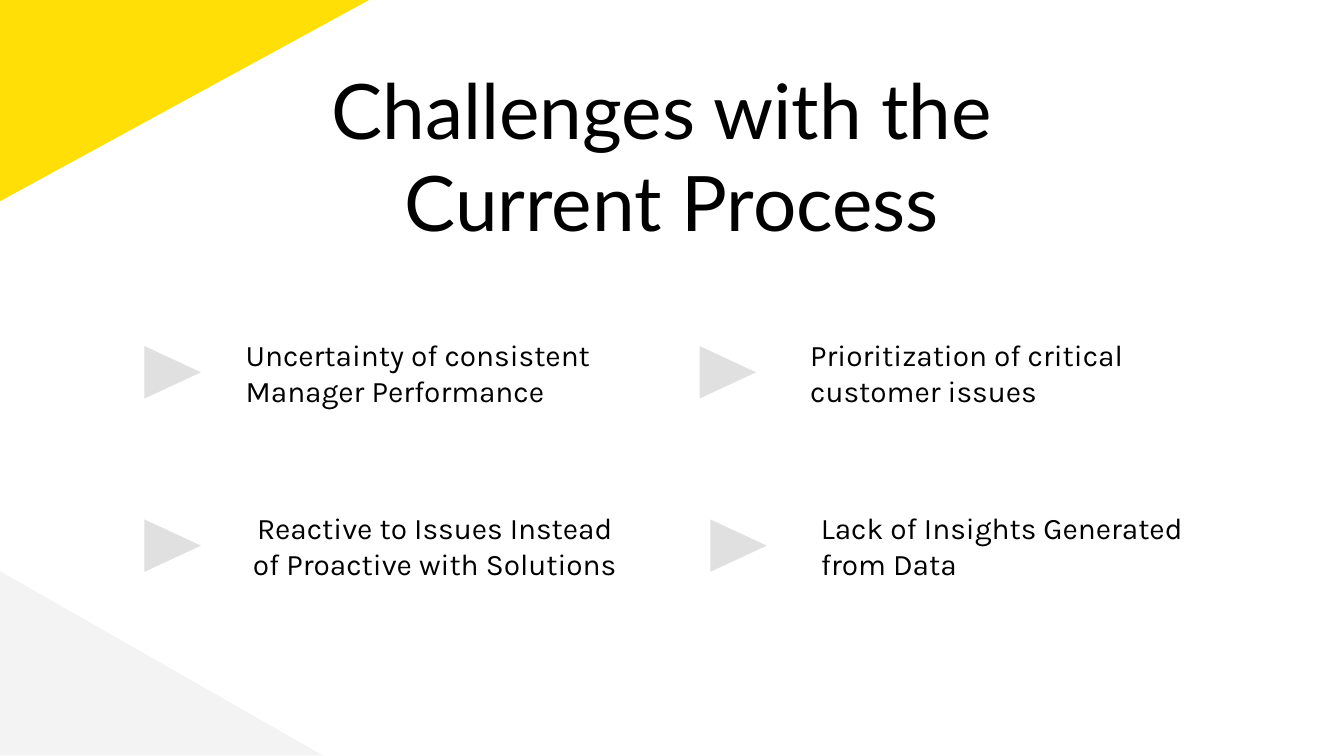
"""Build the slide listing four challenges with the current process."""
import pptx
import pptx.dml.color
import pptx.enum.shapes
import pptx.enum.text
import pptx.util

Inches = pptx.util.Inches
Pt = pptx.util.Pt
SHAPE = pptx.enum.shapes.MSO_SHAPE
ANCHOR = pptx.enum.text.MSO_ANCHOR
ALIGN = pptx.enum.text.PP_ALIGN


def set_color(color_format, value):
    color_format.rgb = pptx.dml.color.RGBColor.from_string(value)


def add_filled(kind, left, top, width, height, color, rotation=0):
    shape = slide.shapes.add_shape(
        kind, Inches(left), Inches(top), Inches(width), Inches(height))
    shape.shadow.inherit = False
    shape.rotation = rotation
    shape.fill.solid()
    set_color(shape.fill.fore_color, color)
    shape.line.fill.background()
    return shape


deck = pptx.Presentation()
deck.slide_width = Inches(10)
deck.slide_height = Inches(10 * 9 / 16)
slide = deck.slides.add_slide(deck.slide_layouts[5])

add_filled(SHAPE.RIGHT_TRIANGLE, 0, 4.25, 2.4, 1.37, "F3F3F3")
yellow_corner = add_filled(SHAPE.RECTANGLE, -0.86, -0.44, 3.55, 1.34, "FFDF06", 331.4)
yellow_corner.line.width = Pt(0.75)
set_color(yellow_corner.line.color, "FFDF06")

title = slide.shapes.title
title.left, title.top = Inches(0.57), Inches(0.37)
title.width, title.height = Inches(8.86), Inches(0.86)
heading = title.text_frame
heading.text = "Challenges with the \nCurrent Process"
heading.auto_size = pptx.enum.text.MSO_AUTO_SIZE.NONE
heading.vertical_anchor = ANCHOR.TOP
heading.margin_left = heading.margin_right = Inches(0.1)
heading.margin_top = heading.margin_bottom = Inches(0.1)
for line in heading.paragraphs:
    line.alignment = ALIGN.CENTER
    line.runs[0].font.name = "Lato"
    line.runs[0].font.size = Pt(41)
    set_color(line.runs[0].font.color, "000000")

challenges = [
    ("Uncertainty of consistent Manager Performance", 1.09, 1.73, 2.34, 2.91, ALIGN.LEFT),
    ("Prioritization of critical customer issues", 5.22, 5.93, 2.34, 3.25, ALIGN.LEFT),
    ("Reactive to Issues Instead of Proactive with Solutions", 1.09, 1.73, 3.63, 3.01, ALIGN.CENTER),
    ("Lack of Insights Generated from Data", 5.3, 6.01, 3.63, 2.91, ALIGN.LEFT),
]
for wording, marker_left, left, top, width, alignment in challenges:
    add_filled(SHAPE.FLOWCHART_EXTRACT, marker_left, top + 0.22, 0.39, 0.42, "E0E0E0", 90)
    challenge = slide.shapes.add_textbox(
        Inches(left), Inches(top), Inches(width), Inches(0.86)).text_frame
    challenge.text = wording
    challenge.word_wrap = True
    challenge.vertical_anchor = ANCHOR.MIDDLE
    challenge.margin_left = challenge.margin_right = Inches(0.1)
    challenge.margin_top = challenge.margin_bottom = Inches(0.1)
    challenge.paragraphs[0].alignment = alignment
    font = challenge.paragraphs[0].runs[0].font
    font.name = "Karla"
    font.size = Pt(16)
    set_color(font.color, "000000")

deck.save("out.pptx")
